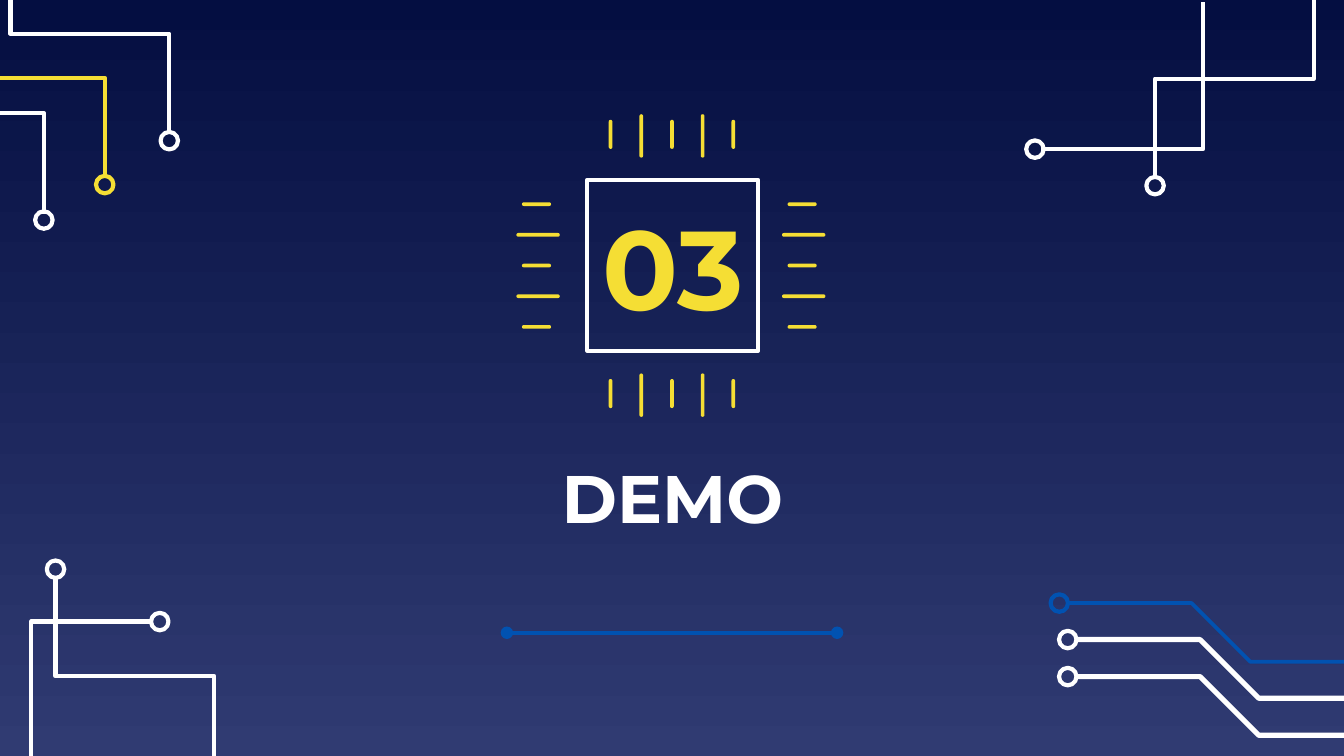
import pptx
import pptx.dml.color
import pptx.enum.shapes
import pptx.enum.text
import pptx.oxml.ns
import pptx.util
from lxml import etree

Cm = pptx.util.Cm
Pt = pptx.util.Pt
MSO_SHAPE = pptx.enum.shapes.MSO_SHAPE

COLORS = {
    "night": "040E41",
    "dusk": "303B72",
    "white": "FFFFFF",
    "yellow": "F5DE34",
    "blue": "0152B1",
}
FONT = "Montserrat"
RING = 0.33       # ring diameter, cm
LEAD = 0.12       # gap from ring centre to the start of its trace
PIN_WIDTH = 0.07
PIN_PITCH = 0.58
CHIP_X, CHIP_Y = 12.7, 5.02


def rgb(color):
    return pptx.dml.color.RGBColor.from_string(COLORS[color])


def outline(shape, color, width=2.25):
    shape.shadow.inherit = False
    shape.fill.background()
    shape.line.color.rgb = rgb(color)
    shape.line.width = Pt(width)


def add_trace(slide, ring, points, color, width=2.25):
    """Circuit line that ends in a ring."""
    start, *rest = [(Cm(x), Cm(y)) for x, y in points]
    builder = slide.shapes.build_freeform(*start)
    builder.add_line_segments(rest, close=False)
    outline(builder.convert_to_shape(), color, width)
    x, y = ring
    terminal = slide.shapes.add_shape(
        MSO_SHAPE.OVAL, Cm(x - RING / 2), Cm(y - RING / 2), Cm(RING), Cm(RING))
    outline(terminal, color)


def add_step_trace(slide, x, y, across, down, color="white"):
    """Vertical, horizontal, vertical; across and down are 1 or -1."""
    turn = y + down * (LEAD + 1.9)
    far = x + across * 3
    points = [(x, y + down * LEAD), (x, turn), (far, turn), (far, turn + down * 1.75)]
    add_trace(slide, (x, y), points, color)


def add_corner_trace(slide, x, y, corner, end, across):
    points = [(x + across * LEAD, y), (corner, y), (corner, end)]
    add_trace(slide, (x, y), points, "white")


def add_bus_trace(slide, x, y, color, width):
    drop = 1.11
    points = [(x + 0.16, y), (x + 2.5, y), (x + 2.5 + drop, y + drop), (25.58, y + drop)]
    add_trace(slide, (x, y), points, color, width)


def add_pin(slide, x, y, width, height):
    pin = slide.shapes.add_shape(
        MSO_SHAPE.ROUNDED_RECTANGLE,
        Cm(x - width / 2), Cm(y - height / 2), Cm(width), Cm(height))
    pin.adjustments[0] = 0.5
    pin.shadow.inherit = False
    pin.fill.solid()
    pin.fill.fore_color.rgb = rgb("yellow")
    pin.line.fill.background()


def add_pins(slide):
    """Five pins on each side, short and long in turn."""
    for i in range(5):
        length, shift = (0.82, 0) if i % 2 else (0.55, -0.03)
        offset = (i - 2) * PIN_PITCH
        for x in (10.17, 15.19):
            add_pin(slide, x + shift, CHIP_Y + offset, length, PIN_WIDTH)
        for y in (2.57, 7.47):
            add_pin(slide, CHIP_X + offset, y + shift, PIN_WIDTH, length)


def set_text(shape, text, size, color):
    frame = shape.text_frame
    frame.text = text
    frame.auto_size = pptx.enum.text.MSO_AUTO_SIZE.NONE
    frame.word_wrap = False
    frame.vertical_anchor = pptx.enum.text.MSO_ANCHOR.MIDDLE
    frame.margin_left = frame.margin_right = Cm(0.25)
    frame.margin_top = frame.margin_bottom = Cm(0.25)
    paragraph = frame.paragraphs[0]
    paragraph.alignment = pptx.enum.text.PP_ALIGN.CENTER
    font = paragraph.runs[0].font
    font.name = FONT
    font.size = Pt(size)
    font.bold = True
    font.color.rgb = rgb(color)


def add_divider(slide):
    divider = slide.shapes.add_connector(
        pptx.enum.shapes.MSO_CONNECTOR.STRAIGHT, Cm(9.58), Cm(11.96), Cm(15.82), Cm(11.96))
    divider.line.color.rgb = rgb("blue")
    divider.line.width = Pt(2.25)
    line = divider.line._get_or_add_ln()
    for end in ("a:headEnd", "a:tailEnd"):
        etree.SubElement(line, pptx.oxml.ns.qn(end), type="oval")
    etree.SubElement(divider._element.spPr, pptx.oxml.ns.qn("a:effectLst"))


def set_background(slide):
    fill = slide.background.fill
    fill.gradient()
    fill.gradient_angle = 270
    for stop, color, position in zip(fill.gradient_stops, ("night", "dusk"), (0, 1)):
        stop.color.rgb = rgb(color)
        stop.position = position


def main():
    deck = pptx.Presentation()
    deck.slide_width, deck.slide_height = Cm(25.4), Cm(14.29)
    slide = deck.slides.add_slide(deck.slide_layouts[5])
    set_background(slide)

    # Bottom right bus
    add_bus_trace(slide, 20.02, 11.4, "blue", 2)
    for y in (12.09, 12.79):
        add_bus_trace(slide, 20.18, y, "white", 2.75)

    # Bottom left
    add_step_trace(slide, 1.05, 10.76, 1, 1)
    add_corner_trace(slide, 3.02, 11.75, 0.59, 14.5, -1)

    # Top right
    add_corner_trace(slide, 19.56, 2.82, 22.74, 0.03, 1)
    add_step_trace(slide, 21.83, 3.51, 1, -1)

    # Top left
    add_step_trace(slide, 0.83, 4.16, -1, -1)
    add_step_trace(slide, 1.98, 3.49, -1, -1, "yellow")
    add_step_trace(slide, 3.2, 2.66, -1, -1)

    # Section title
    title = slide.shapes.title
    title.left, title.top, title.width, title.height = Cm(6.81), Cm(8.53), Cm(11.79), Cm(1.7)
    set_text(title, "DEMO", 36, "white")

    # Chip with the section number
    chip = slide.shapes.add_shape(MSO_SHAPE.RECTANGLE, Cm(11.1), Cm(3.4), Cm(3.23), Cm(3.23))
    outline(chip, "white")
    set_text(chip, "03", 60, "yellow")
    add_pins(slide)

    add_divider(slide)
    deck.save("out.pptx")


if __name__ == "__main__":
    main()
